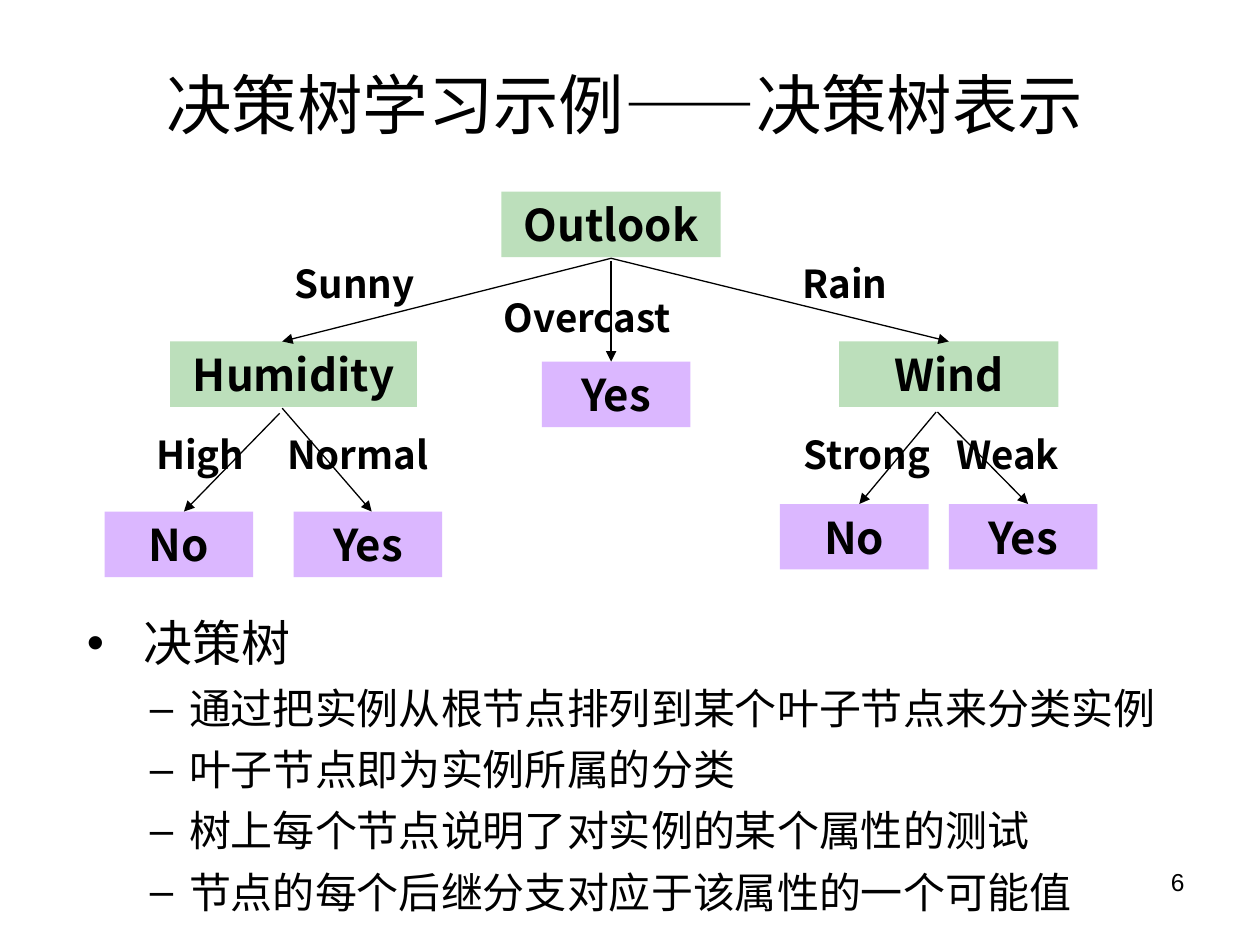
from typing import NamedTuple

from lxml.etree import SubElement
from pptx import Presentation
from pptx.dml.color import RGBColor
from pptx.enum.shapes import MSO_CONNECTOR as Connector, MSO_SHAPE as Shape
from pptx.enum.text import MSO_ANCHOR as Anchor, MSO_AUTO_SIZE as AutoSize, PP_ALIGN as Align
from pptx.oxml.ns import qn
from pptx.util import Inches, Pt

CELL = 0.1  # inches; the slide is a grid of 100 columns by 75 rows
COLORS = {"text": "000000", "test": "BCDFBB", "leaf": "DBB7FF"}
LATIN, CHINESE, TREE = "Arial", "Noto Sans CJK SC", "Noto Sans CJK KR"
NODE_HEIGHT, LABEL_HEIGHT, LEAF_WIDTH = 5.2, 4.7, 11.8


class Node(NamedTuple):
    text: str
    column: float
    row: float
    width: float = LEAF_WIDTH
    kind: str = "leaf"


class Label(NamedTuple):
    text: str
    column: float
    row: float
    width: float
    tabs: tuple = ()


class Edge(NamedTuple):
    start: tuple
    end: tuple


NODES = [
    Node("Outlook", 39.8, 15.2, 17.4, "test"),
    Node("Wind", 66.6, 27.1, 17.4, "test"),
    Node("Humidity", 13.5, 27.1, 19.6, "test"),
    Node("Yes", 43, 28.7),
    Node("No", 8.3, 40.6),
    Node("Yes", 23.3, 40.6),
    Node("No", 61.9, 40),
    Node("Yes", 75.3, 40),
]
LABELS = [
    Label("High\tNormal\tStrong\tWeak", 11.4, 33.7, 77.2, (10.4, 51.4, 63.5)),
    Label("Sunny", 22.4, 20.1, 11.8),
    Label("Overcast", 39, 22.8, 19.7),
    Label("Rain", 62.7, 20.1, 11.8),
]
EDGES = [
    Edge((48.5, 20.5), (22.4, 27.1)),
    Edge((48.5, 20.5), (75.3, 27.1)),
    Edge((48.5, 20.7), (48.5, 28.7)),
    Edge((22.2, 32.8), (14.6, 40.6)),
    Edge((22.4, 32.4), (29.5, 40.6)),
    Edge((74.3, 32.7), (68.2, 40)),
    Edge((74.4, 32.7), (81.6, 40)),
]
TITLE = [("决策树学习示例", LATIN), ("——", CHINESE), ("决策树表示", LATIN)]
HEADING = "决策树"
POINTS = [
    "通过把实例从根节点排列到某个叶子节点来分类实例",
    "叶子节点即为实例所属的分类",
    "树上每个节点说明了对实例的某个属性的测试",
    "节点的每个后继分支对应于该属性的一个可能值",
]


def cells(*counts: float) -> list:
    return [Inches(count * CELL) for count in counts]


def color(name: str) -> RGBColor:
    return RGBColor.from_string(COLORS[name])


def place(shape, column: float, row: float, width: float, height: float) -> None:
    shape.left, shape.top, shape.width, shape.height = cells(column, row, width, height)


def set_font(font, name: str, size: float, bold: bool = False) -> None:
    font.name, font.size, font.bold = name, Pt(size), bold
    font.color.rgb = color("text")


def set_chinese_font(run) -> None:
    """Name the East Asian typeface, which python-pptx leaves unset."""
    properties = run.font._element
    SubElement(properties, qn("a:ea")).set("typeface", CHINESE)


def add_title(slide) -> None:
    title = slide.shapes.title
    place(title, 5.8, 4.4, 87.6, 7.6)
    frame = title.text_frame
    frame.auto_size, frame.vertical_anchor = AutoSize.NONE, Anchor.MIDDLE
    paragraph = frame.paragraphs[0]
    paragraph.alignment = Align.CENTER
    set_font(paragraph.font, LATIN, 37.4)
    for text, font_name in TITLE:
        run = paragraph.add_run()
        run.text, run.font.name = text, font_name
        set_chinese_font(run)


def add_list(slide) -> None:
    body = slide.placeholders[1]
    place(body, 5.9, 47.8, 88.5, 27.6)
    frame = body.text_frame
    frame.auto_size, frame.vertical_anchor = AutoSize.NONE, Anchor.TOP
    for index, text in enumerate([HEADING, *POINTS]):
        level = min(index, 1)
        size, line, before, margin, hanging = [(28, 36, 0, 4.5, 4.5), (24, 29, 6, 8.1, 3.1)][level]
        paragraph = frame.add_paragraph() if index else frame.paragraphs[0]
        paragraph.level = level
        paragraph.line_spacing, paragraph.space_before = Pt(line), Pt(before)
        left, indent = cells(margin, -hanging)
        properties = paragraph._p.get_or_add_pPr()
        properties.set("marL", str(left))
        properties.set("indent", str(indent))
        set_font(paragraph.font, CHINESE, size)
        run = paragraph.add_run()
        run.text, run.font.name = text, CHINESE
        set_chinese_font(run)


def add_node(slide, node: Node) -> None:
    box = slide.shapes.add_shape(Shape.RECTANGLE, *cells(node.column, node.row, node.width, NODE_HEIGHT))
    box.shadow.inherit = False
    box.fill.solid()
    box.fill.fore_color.rgb = color(node.kind)
    box.line.fill.background()
    frame = box.text_frame
    frame.text, frame.vertical_anchor = node.text, Anchor.MIDDLE
    paragraph = frame.paragraphs[0]
    paragraph.alignment = Align.CENTER
    set_font(paragraph.font, TREE, 25, bold=True)


def add_label(slide, label: Label) -> None:
    box = slide.shapes.add_textbox(*cells(label.column, label.row, label.width, LABEL_HEIGHT))
    frame = box.text_frame
    frame.word_wrap, frame.vertical_anchor = True, Anchor.MIDDLE
    frame.text = label.text
    paragraph = frame.paragraphs[0]
    if label.tabs:
        tab_list = SubElement(paragraph._p.get_or_add_pPr(), qn("a:tabLst"))
        for position in cells(*label.tabs):
            SubElement(tab_list, qn("a:tab"), pos=str(position), algn="l")
    set_font(paragraph.font, TREE, 22, bold=True)


def add_edge(slide, edge: Edge) -> None:
    arrow = slide.shapes.add_connector(Connector.STRAIGHT, *cells(*edge.start, *edge.end))
    arrow.line.color.rgb = color("text")
    arrow.line.width = Pt(0.75)
    SubElement(arrow.line._get_or_add_ln(), qn("a:tailEnd"), type="triangle")
    SubElement(arrow._element.spPr, qn("a:effectLst"))


def add_page_number(slide, number: int) -> None:
    box = slide.shapes.add_textbox(*cells(71.7, 68.3, 23.3, 5.2))
    frame = box.text_frame
    frame.word_wrap, frame.text = True, str(number)
    paragraph = frame.paragraphs[0]
    paragraph.alignment = Align.RIGHT
    set_font(paragraph.font, LATIN, 14)


def main() -> None:
    presentation = Presentation()
    presentation.slide_width, presentation.slide_height = cells(100, 75)
    slide = presentation.slides.add_slide(presentation.slide_layouts[1])
    add_title(slide)
    add_list(slide)
    add_page_number(slide, 6)
    for label in LABELS:
        add_label(slide, label)
    for node in NODES:
        add_node(slide, node)
    for edge in EDGES:
        add_edge(slide, edge)
    presentation.save("out.pptx")


if __name__ == "__main__":
    main()
